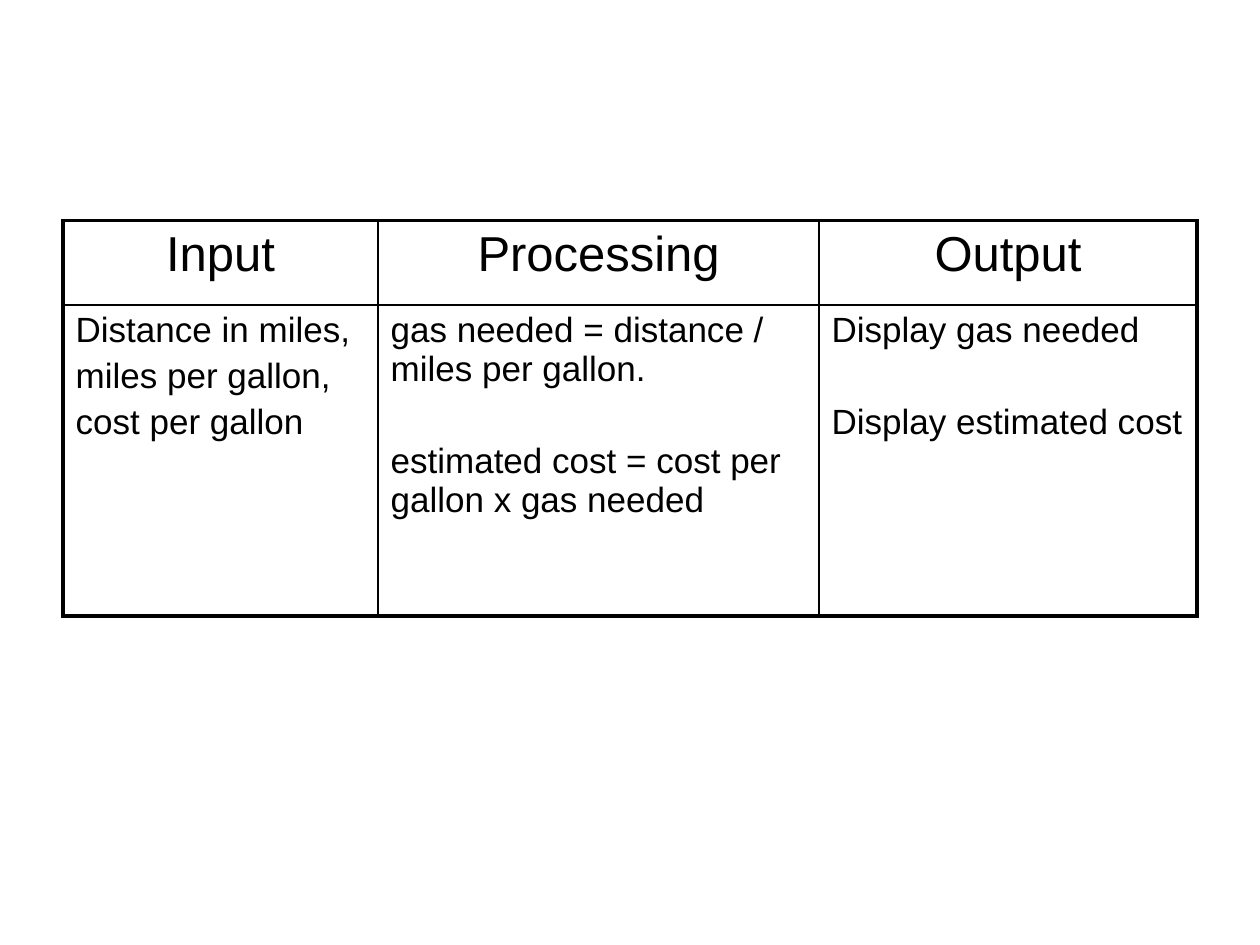
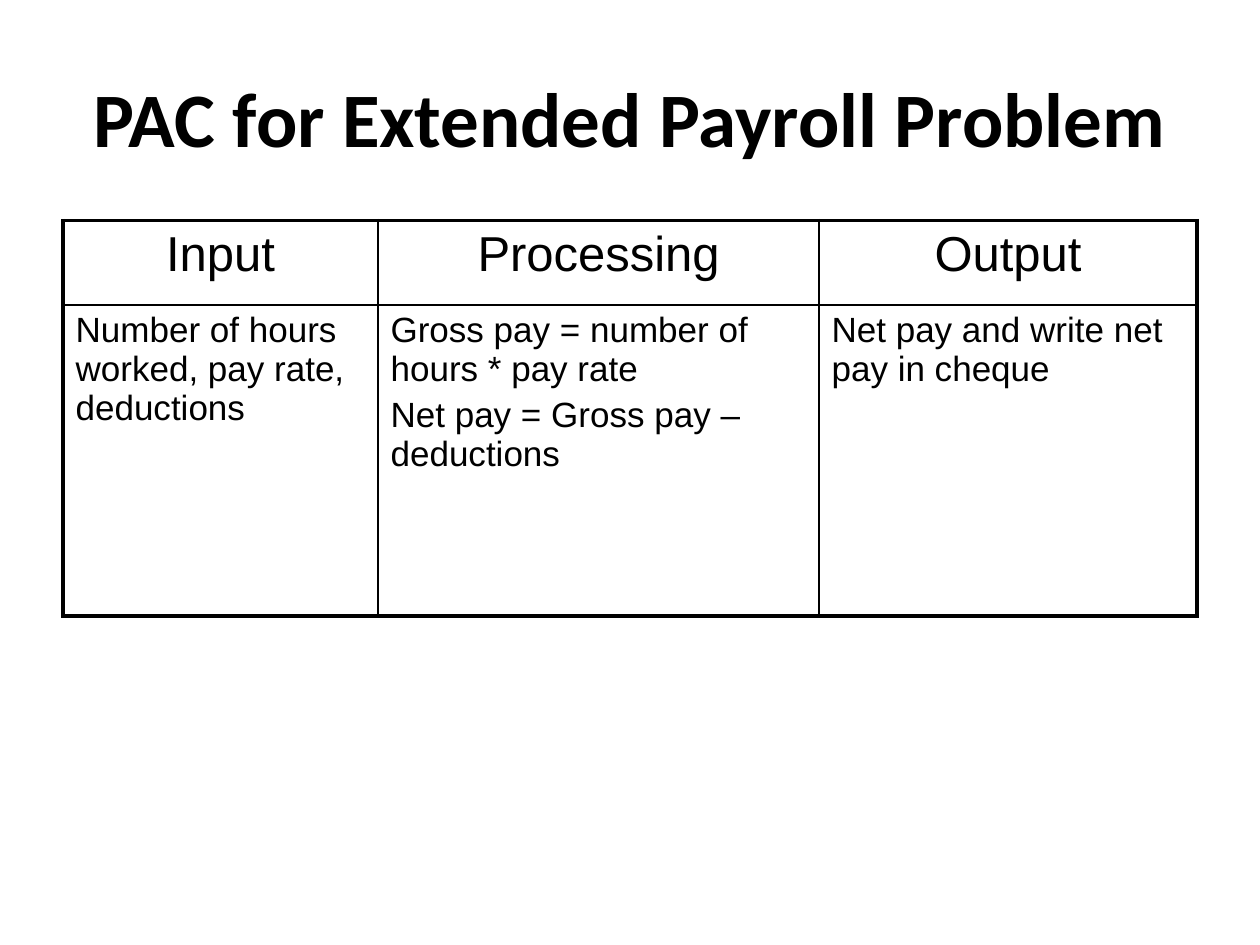
from lxml.etree import SubElement
from pptx import Presentation
from pptx.dml.color import RGBColor
from pptx.enum.text import MSO_ANCHOR, PP_ALIGN
from pptx.oxml.ns import qn
from pptx.util import Pt

PX = 9144  # 100 px to the inch
COLORS = {"ink": "000000", "paper": "FFFFFF"}
COLUMNS = [("Input", 250), ("Processing", 350), ("Output", 300)]
ROW_HEIGHTS = [67, 247]
THICK, THIN = 2.25, 1
CLOSE, APART = 4, 30  # points between the paragraphs of a cell

CHARTS = [
    {"title": None,
     "cells": [(["Distance in miles,", "miles per gallon,", "cost per gallon"], CLOSE),
               (["gas needed = distance / miles per gallon.",
                 "estimated cost = cost per gallon x gas needed"], APART),
               (["Display gas needed", "Display estimated cost"], APART)]},
    {"title": "PAC for Extended Payroll Problem",
     "cells": [(["Number of hours worked, pay rate, deductions"], CLOSE),
               (["Gross pay = number of hours * pay rate",
                 "Net pay = Gross pay – deductions"], CLOSE),
               (["Net pay and write net pay in cheque"], CLOSE)]},
]


def write(paragraph, text, size, font="Arial", bold=False, align=PP_ALIGN.LEFT):
    paragraph.alignment = align
    run = paragraph.add_run()
    run.text = text
    run.font.name = font
    run.font.size = Pt(size)
    run.font.bold = bold
    run.font.color.rgb = RGBColor.from_string(COLORS["ink"])


def draw_borders(cell, widths):
    """Line the cell's sides; widths maps L, R, T, B (in that order) to points."""
    properties = cell._tc.get_or_add_tcPr()
    for position, (side, width) in enumerate(widths.items()):
        line = SubElement(properties, qn(f"a:ln{side}"), w=str(Pt(width)))
        fill = SubElement(line, qn("a:solidFill"))
        SubElement(fill, qn("a:srgbClr"), val=COLORS["ink"])
        properties.insert(position, line)


deck = Presentation()
deck.slide_width, deck.slide_height = 1000 * PX, 750 * PX

for chart in CHARTS:
    slide = deck.slides.add_slide(deck.slide_layouts[6])
    slide.background.fill.solid()
    slide.background.fill.fore_color.rgb = RGBColor.from_string(COLORS["paper"])

    if chart["title"]:
        heading = slide.shapes.add_textbox(50 * PX, 30 * PX, 900 * PX, 125 * PX).text_frame
        heading.word_wrap = True
        heading.vertical_anchor = MSO_ANCHOR.MIDDLE
        write(heading.paragraphs[0], chart["title"], 44, "Calibri", True, PP_ALIGN.CENTER)

    pac = slide.shapes.add_table(len(ROW_HEIGHTS), len(COLUMNS), 50 * PX, 175 * PX,
                                 900 * PX, sum(ROW_HEIGHTS) * PX).table
    pac.first_row = pac.horz_banding = False
    for row, height in zip(pac.rows, ROW_HEIGHTS):
        row.height = height * PX

    last = len(COLUMNS) - 1
    for index, ((label, width), (lines, gap)) in enumerate(zip(COLUMNS, chart["cells"])):
        pac.columns[index].width = width * PX
        header, body = pac.cell(0, index), pac.cell(1, index)
        write(header.text_frame.paragraphs[0], label, 28, align=PP_ALIGN.CENTER)
        for number, line in enumerate(lines):
            if number == 0:
                paragraph = body.text_frame.paragraphs[0]
            else:
                paragraph = body.text_frame.add_paragraph()
                paragraph.space_before = Pt(gap)
            write(paragraph, line, 20)

        sides = {"L": THICK if index == 0 else THIN, "R": THICK if index == last else THIN}
        for cell, top, bottom in [(header, THICK, THIN), (body, THIN, THICK)]:
            cell.fill.background()
            draw_borders(cell, {**sides, "T": top, "B": bottom})

deck.save("out.pptx")
